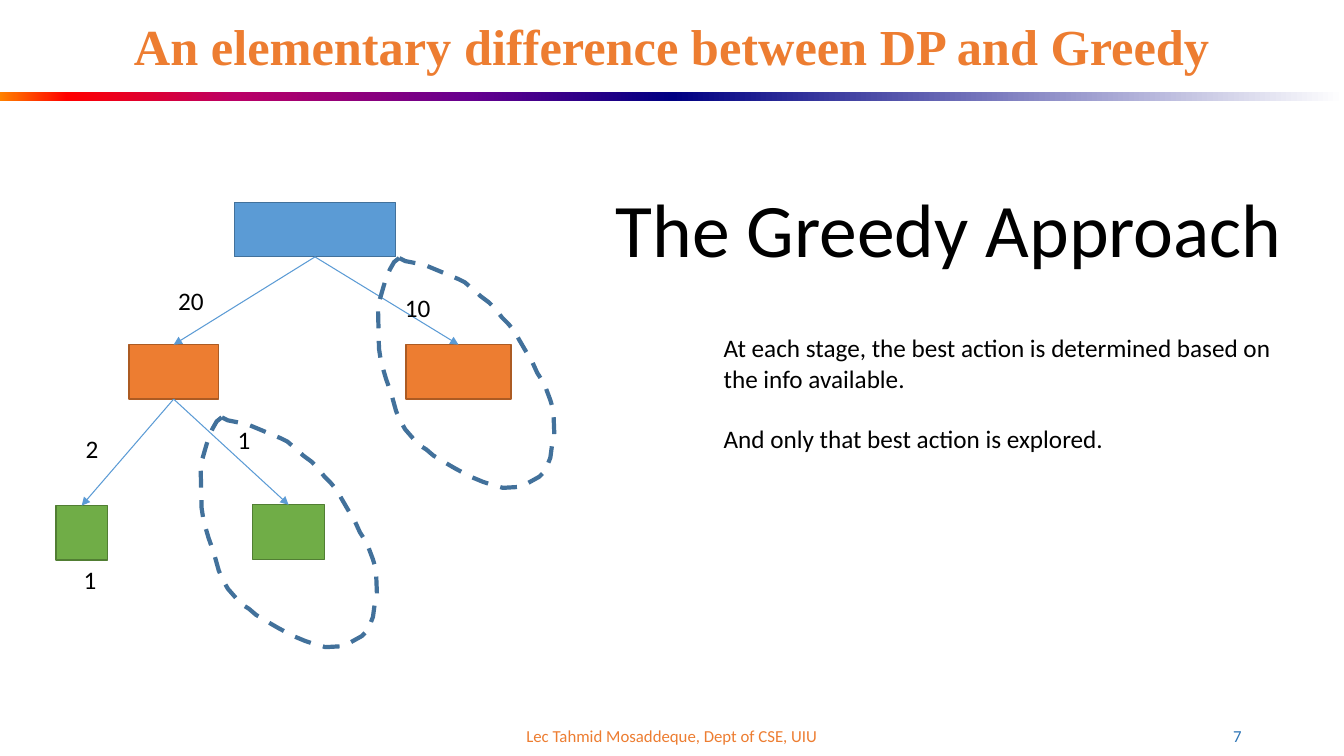
from lxml.etree import SubElement
from pptx import Presentation
from pptx.dml.color import RGBColor
from pptx.enum.dml import MSO_LINE
from pptx.enum.shapes import MSO_CONNECTOR, MSO_SHAPE
from pptx.enum.text import MSO_ANCHOR as ANCHOR, PP_ALIGN as ALIGN
from pptx.oxml.ns import qn
from pptx.util import Pt

W, H = 960, 540
ORANGE, BLUE, GREEN, BLACK = "ED7D31", "5B9BD5", "70AD47", "000000"
EDGE = {BLUE: "42719B", ORANGE: "AC5B23", GREEN: "517E33"}
NODE_H = 38.9
LOOP = [
    (21, 0), (16, 4), (12, 11), (8, 20), (5, 30), (1, 44), (0, 49), (1, 90),
    (3, 103), (8, 120), (13, 134), (18, 152), (22, 161), (27, 170), (34, 178),
    (40, 185), (48, 190), (55, 196), (62, 200), (70, 205), (77, 209), (92, 217),
    (104, 222), (113, 225), (124, 228), (142, 227), (151, 222), (160, 217),
    (166, 211), (171, 198), (173, 183), (175, 177), (174, 151), (171, 141),
    (165, 125), (158, 114), (153, 103), (147, 93), (140, 81), (135, 72),
    (129, 65), (123, 59), (116, 50), (110, 44), (102, 38), (93, 30), (86, 24),
    (80, 21), (73, 18), (61, 13), (49, 8), (42, 6), (32, 4), (27, 3),
]


def color(value):
    return RGBColor.from_string(value)


def add_text(slide, box, lines, size=18, fill=BLACK, font="Calibri", bold=False,
             wrap=True, **fmt):
    tf = slide.shapes.add_textbox(*map(Pt, box)).text_frame
    tf.word_wrap = wrap
    tf.vertical_anchor = fmt.pop("anchor", ANCHOR.TOP)
    for i, line in enumerate(lines):
        p = tf.add_paragraph() if i else tf.paragraphs[0]
        for name, value in fmt.items():
            setattr(p, name, value)
        r = p.add_run()
        r.text = line
        for name, value in {"size": Pt(size), "name": font, "bold": bold}.items():
            setattr(r.font, name, value)
        r.font.color.rgb = color(fill)
    return tf


def add_band(slide, x, stops):
    s = slide.shapes.add_shape(MSO_SHAPE.RECTANGLE, Pt(x), Pt(66), Pt(W / 2), Pt(6))
    s.shadow.inherit = False
    s.line.fill.background()
    s.fill.gradient()
    s.fill.gradient_angle = 0
    gs_list = s._element.spPr.find(".//" + qn("a:gsLst"))
    for gs in list(gs_list):
        gs_list.remove(gs)
    for pos, value in stops:
        gs = SubElement(gs_list, qn("a:gs"), pos=str(pos * 1000))
        SubElement(gs, qn("a:srgbClr"), val=value)


def add_node(slide, x, y, w, fill):
    s = slide.shapes.add_shape(MSO_SHAPE.RECTANGLE, Pt(x), Pt(y), Pt(w), Pt(NODE_H))
    s.shadow.inherit = False
    s.fill.solid()
    s.fill.fore_color.rgb = color(fill)
    s.line.color.rgb = color(EDGE[fill])
    s.line.width = Pt(1)
    return s


def add_branch(slide, parent, child):
    c = slide.shapes.add_connector(MSO_CONNECTOR.STRAIGHT, 0, 0, 0, 0)
    c.begin_connect(parent, 2)
    c.end_connect(child, 0)
    c.line.color.rgb = color(BLUE)
    c.line.width = Pt(0.75)
    SubElement(c.line._get_or_add_ln(), qn("a:tailEnd"), type="triangle")
    SubElement(c._element.spPr, qn("a:effectLst"))


def add_loop(slide, x, y):
    builder = slide.shapes.build_freeform(*LOOP[0], scale=Pt(0.72))
    builder.add_line_segments(LOOP[1:], close=True)
    s = builder.convert_to_shape(Pt(x), Pt(y))
    s.shadow.inherit = False
    s.fill.background()
    s.line.color.rgb = color(EDGE[BLUE])
    s.line.width = Pt(3)
    s.line.dash_style = MSO_LINE.DASH


def main():
    prs = Presentation()
    prs.slide_width, prs.slide_height = Pt(W), Pt(H)
    slide = prs.slides.add_slide(prs.slide_layouts[6])

    add_band(slide, 0, [(0, "FF8200"), (10, "FF0000"), (35, "BA0066"),
                        (70, "66008F"), (100, "000082")])
    add_band(slide, W / 2, [(0, "000082"), (100, "FFFFFF")])
    add_text(slide, (66, 11.5, 828, 47.5),
             ["An elementary difference between DP and Greedy"], 36, ORANGE,
             "Times New Roman", True, anchor=ANCHOR.MIDDLE,
             alignment=ALIGN.CENTER, line_spacing=0.9)
    add_text(slide, (318, 511.2, 324, 28.8),
             ["Lec Tahmid Mosaddeque, Dept of CSE, UIU"], 12, ORANGE,
             anchor=ANCHOR.MIDDLE, alignment=ALIGN.CENTER)
    add_text(slide, (678, 511.2, 216, 28.8), ["7"], 12, "2E75B6",
             anchor=ANCHOR.MIDDLE, alignment=ALIGN.RIGHT)

    root = add_node(slide, 167.4, 144.6, 115.2, BLUE)
    left = add_node(slide, 92, 246.2, 64.1, ORANGE)
    right = add_node(slide, 290, 246.2, 75, ORANGE)
    leaves = [add_node(slide, 40, 361.2, 36.7, GREEN),
              add_node(slide, 180.5, 360.6, 51.3, GREEN)]
    for parent, children in ((root, (left, right)), (left, leaves)):
        for child in children:
            add_branch(slide, parent, child)

    for cost, x, y in (("10", 282.2, 205.2), ("20", 120.2, 200.2), ("2", 54, 306),
                       ("1", 162.7, 299.5), ("1", 52.6, 399.6)):
        add_text(slide, (x, y, 35, 29), [cost])
    for x, y in ((270, 184.3), (143.3, 298.1)):
        add_loop(slide, x, y)

    tf = add_text(slide, (509.8, 234, 410.4, 94.3),
                  ["At each stage, the best action is determined based on",
                   "the info available.", "And only that best action is explored."])
    tf.paragraphs[2].space_before = Pt(21.6)
    add_text(slide, (429.8, 126.7, 496, 72.7), ["The Greedy Approach"], 54,
             wrap=False, alignment=ALIGN.CENTER)
    prs.save("out.pptx")


if __name__ == "__main__":
    main()
